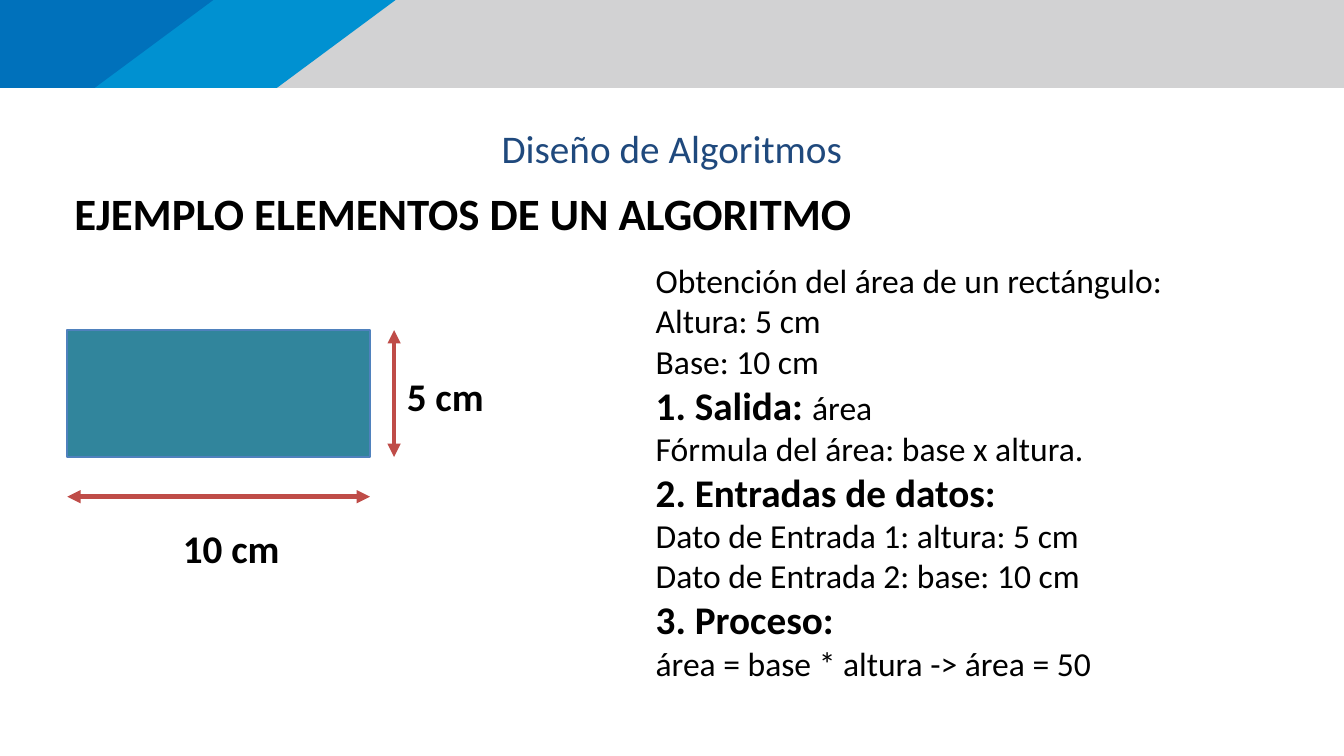
from dataclasses import dataclass

from pptx import Presentation
from pptx.dml.color import RGBColor as RGB
from pptx.enum.shapes import MSO_CONNECTOR as CONN, MSO_SHAPE as SHAPE
from pptx.enum.text import MSO_ANCHOR as ANCHOR, MSO_AUTO_SIZE as AUTO, PP_ALIGN as ALIGN
from pptx.oxml.ns import qn
from pptx.util import Pt
from lxml.etree import SubElement


@dataclass(frozen=True)
class Theme:
    """Colours, font and type sizes of the slide."""
    font: str = "Calibri"
    black: str = "000000"
    navy: str = "1F497D"
    grey: str = "D2D2D3"
    sky: str = "0091D1"
    blue: str = "0071BB"
    teal: str = "31859C"
    outline: str = "4F81BD"
    red: str = "BF4C48"
    heading: float = 45.5
    strong: float = 39.8
    text: float = 34.1


T = Theme()
STEPS = [
    [("Obtención del área de un rectángulo:", False)],
    [("Altura: 5 cm", False)],
    [("Base: 10 cm", False)],
    [("1. Salida: ", True), ("área", False)],
    [("Fórmula del área: base x altura.", False)],
    [("2. Entradas de datos:", True)],
    [("Dato de Entrada 1: altura: 5 cm", False)],
    [("Dato de Entrada 2: base: 10 cm", False)],
    [("3. Proceso:", True)],
    [("área = base * altura -> área = 50", False)],
]


def style(r, size, color=T.black, bold=False):
    """Format one run."""
    r.font.name, r.font.size, r.font.bold = T.font, Pt(size), bold
    r.font.color.rgb = RGB.from_string(color)


def paint(sp, fill, line=None):
    """Fill a shape and give it an outline or none."""
    sp.shadow.inherit = False
    sp.fill.solid()
    sp.fill.fore_color.rgb = RGB.from_string(fill)
    if line:
        sp.line.color.rgb = RGB.from_string(line)
        sp.line.width = Pt(2)
    else:
        sp.line.fill.background()


def place(sp, x, y, w, h):
    """Move a placeholder to a box."""
    sp.left, sp.top, sp.width, sp.height = Pt(x), Pt(y), Pt(w), Pt(h)


def add_label(s, x, y, w, h, text, size):
    """Add a bold text box."""
    tf = s.shapes.add_textbox(Pt(x), Pt(y), Pt(w), Pt(h)).text_frame
    tf.word_wrap = True
    tf.text = text
    style(tf.paragraphs[0].runs[0], size, bold=True)


def add_arrow(s, x1, y1, x2, y2):
    """Add a double-headed dimension arrow."""
    cx = s.shapes.add_connector(CONN.STRAIGHT, Pt(x1), Pt(y1), Pt(x2), Pt(y2))
    cx.line.color.rgb = RGB.from_string(T.red)
    cx.line.width = Pt(4.5)
    ln = cx.line._get_or_add_ln()
    for end in ("a:headEnd", "a:tailEnd"):
        SubElement(ln, qn(end), type="triangle")
    SubElement(cx._element.spPr, qn("a:effectLst"))


def add_banner(s, x, y, w, h):
    """Draw the grey band with its two slanted blue wedges."""
    band = s.shapes.add_shape(SHAPE.RECTANGLE, Pt(x), Pt(y), Pt(w), Pt(h))
    paint(band, T.grey)
    slant = 120.5
    for top, color in ((401.8, T.sky), (216.7, T.blue)):
        fb = s.shapes.build_freeform(Pt(x), Pt(y))
        fb.add_line_segments([(Pt(x + top), Pt(y)), (Pt(x + top - slant), Pt(y + h)),
                              (Pt(x), Pt(y + h))], close=True)
        paint(fb.convert_to_shape(), color)


def fill_title(s, x, y, w, h):
    """Write the centred course title."""
    sp = s.shapes.title
    place(sp, x, y, w, h)
    tf = sp.text_frame
    tf.text = "Diseño de Algoritmos"
    tf.auto_size, tf.vertical_anchor = AUTO.NONE, ANCHOR.TOP
    tf.margin_left = tf.margin_top = tf.margin_right = tf.margin_bottom = 0
    tf.paragraphs[0].alignment = ALIGN.CENTER
    style(tf.paragraphs[0].runs[0], T.strong, T.navy)


def fill_steps(s, x, y, w, h):
    """Write the worked example in the body placeholder."""
    sp = s.placeholders[1]
    place(sp, x, y, w, h)
    tf = sp.text_frame
    tf.auto_size = AUTO.NONE
    for i, parts in enumerate(STEPS):
        p = tf.paragraphs[0] if i == 0 else tf.add_paragraph()
        pPr = p._p.get_or_add_pPr()
        pPr.set("marL", "0")
        pPr.set("indent", "0")
        SubElement(pPr, qn("a:buNone"))
        p.space_before = Pt(0)
        for text, bold in parts:
            r = p.add_run()
            r.text = text
            style(r, T.strong if bold else T.text, bold=bold)


def add_figure(s, x, y, w, h):
    """Draw the rectangle with its base and height dimensions."""
    sp = s.shapes.add_shape(SHAPE.RECTANGLE, Pt(x), Pt(y), Pt(w), Pt(h))
    paint(sp, T.teal, T.outline)
    base_y, height_x = y + h + 40.3, x + w + 24.5
    add_arrow(s, x, base_y, x + w, base_y)
    add_arrow(s, height_x, y, height_x, y + h)
    add_label(s, x + 110.2, base_y + 24.5, 177, 55.4, "10 cm", T.strong)
    add_label(s, height_x + 5.8, y + 38.9, 177, 55.4, "5 cm", T.strong)


def main():
    """Build and save the slide."""
    prs = Presentation()
    prs.slide_width, prs.slide_height = Pt(1365.1), Pt(768.2)
    s = prs.slides.add_slide(prs.slide_layouts[1])
    add_banner(s, 0, 0, 1365.1, 89.3)
    fill_title(s, 221.8, 126, 921.6, 48.2)
    add_label(s, 68.4, 185, 823.7, 62.6, "EJEMPLO ELEMENTOS DE UN ALGORITMO", T.heading)
    add_figure(s, 68.4, 335.5, 307.4, 128.9)
    fill_steps(s, 658.8, 260.6, 612.7, 441.4)
    prs.save("out.pptx")


if __name__ == "__main__":
    main()
